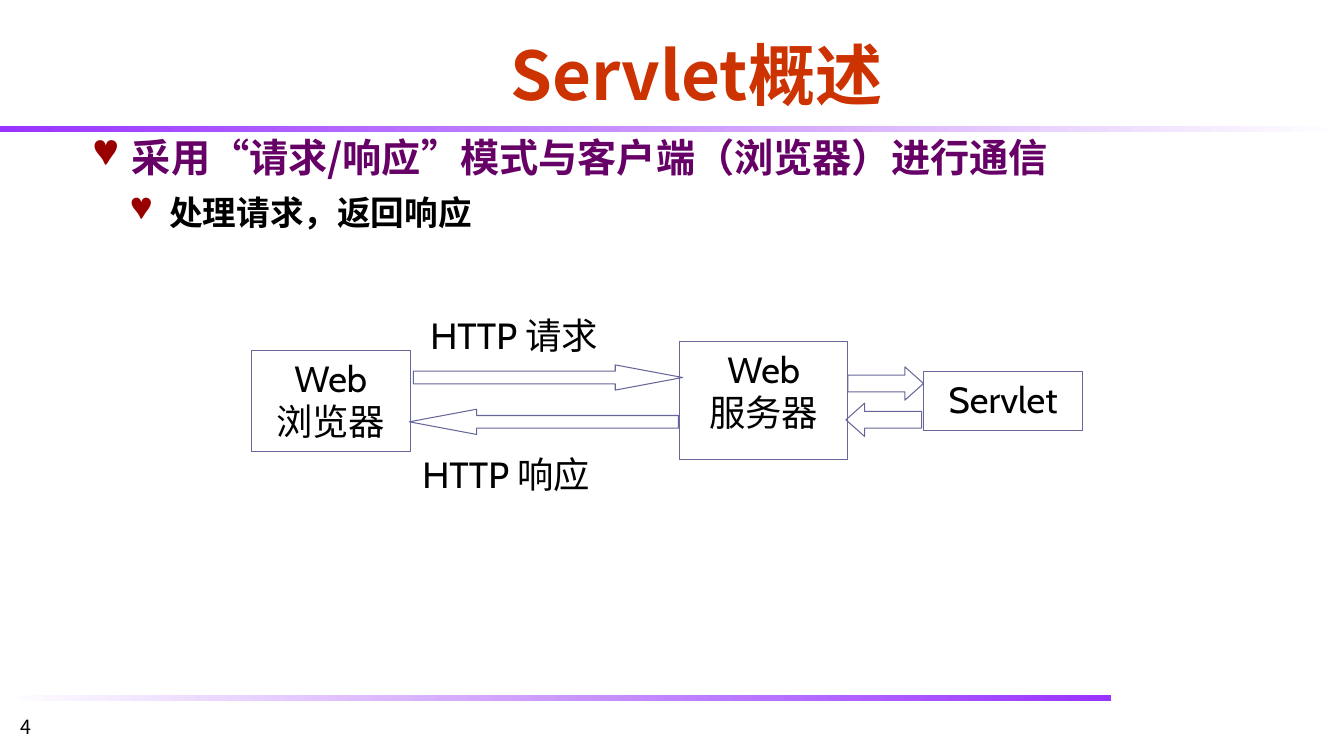
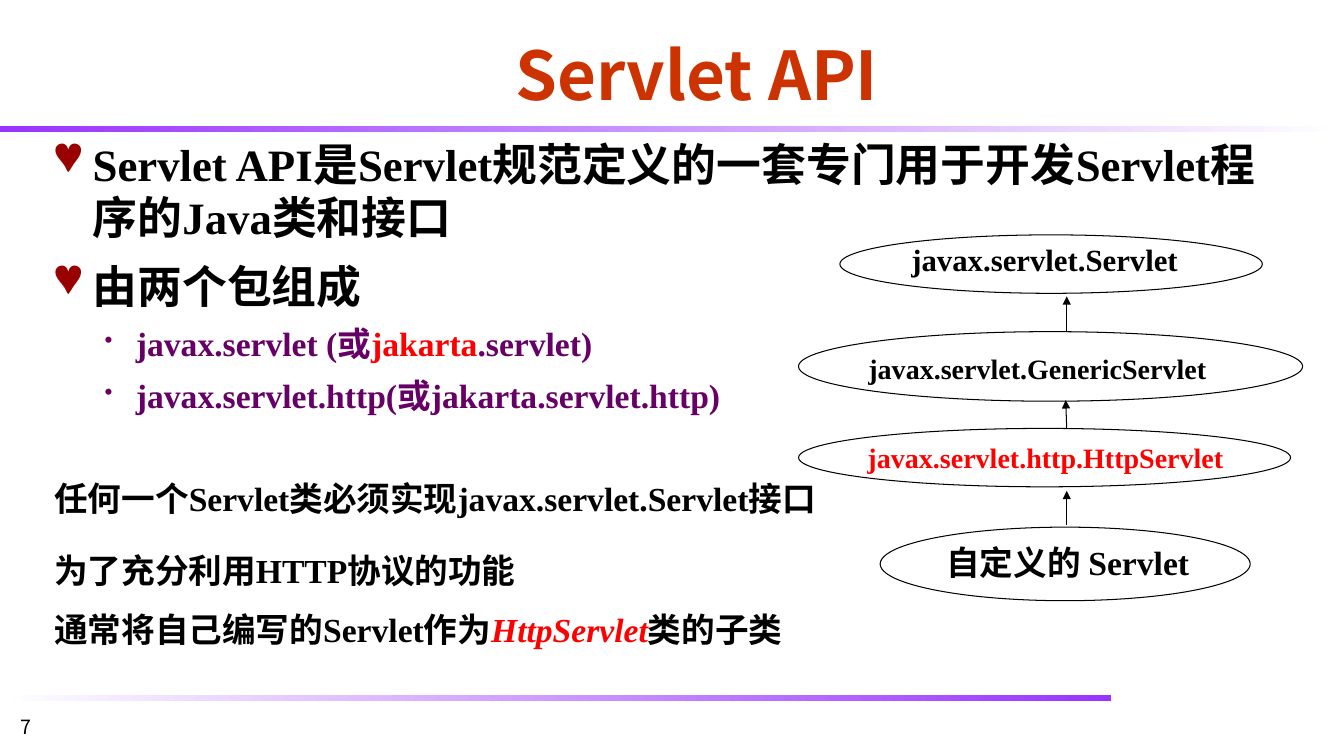
from dataclasses import dataclass
from typing import NamedTuple

from lxml.etree import SubElement
from pptx import Presentation
from pptx.dml.color import RGBColor
from pptx.enum.shapes import MSO_CONNECTOR, MSO_SHAPE
from pptx.enum.text import MSO_ANCHOR, PP_ALIGN
from pptx.oxml.ns import qn
from pptx.util import Inches, Pt

HUES = {
    "title": "CC3300",
    "band": "9933FF",
    "white": "FFFFFF",
    "plum": "660066",
    "heart": "990000",
    "black": "000000",
    "red": "FF0000",
    "slate": "666699",
}
SANS = "Noto Sans CJK SC"
SERIF = "Times New Roman"
CABIN = "Cabin"
PITCH = 1.185
LEAD = 0.35


class Box(NamedTuple):
    left: float
    top: float
    width: float
    height: float


class Bit(NamedTuple):
    text: str
    hue: str = ""
    slant: bool = False


class Mark(NamedTuple):
    char: str
    hue: str
    scale: int
    left: float
    hang: float


@dataclass
class Para:
    bits: list[Bit]
    size: float
    font: str
    hue: str = "black"
    bold: bool = False
    mark: Mark | None = None
    align: PP_ALIGN = PP_ALIGN.LEFT
    before: float = 0
    ratio: float = 1


@dataclass
class Node:
    box: Box
    oval: Box
    text: str
    size: float
    hue: str = "black"
    tail: str = ""


def tint(hue: str) -> RGBColor:
    return RGBColor.from_string(HUES[hue])


def put_mark(para, mark: Mark) -> None:
    props = para._p.get_or_add_pPr()
    props.set("marL", str(Inches(mark.left)))
    props.set("indent", str(-Inches(mark.hang)))
    color = SubElement(props, qn("a:buClr"))
    SubElement(color, qn("a:srgbClr"), val=HUES[mark.hue])
    SubElement(props, qn("a:buSzPct"), val=str(mark.scale * 1000))
    SubElement(props, qn("a:buChar"), char=mark.char)


def fill_text(shape, paras: list[Para], anchor=MSO_ANCHOR.TOP) -> None:
    frame = shape.text_frame
    frame.word_wrap = True
    frame.vertical_anchor = anchor
    frame.margin_top = Inches(0.06)
    frame.margin_bottom = 0
    for index, item in enumerate(paras):
        para = frame.add_paragraph() if index else frame.paragraphs[0]
        if item.mark:
            put_mark(para, item.mark)
        para.alignment = item.align
        para.line_spacing = Pt(item.size * PITCH * item.ratio)
        para.space_before = Pt(item.before if index else 0)
        font = para.font
        font.size, font.name, font.bold = Pt(item.size), item.font, item.bold
        font.color.rgb = tint(item.hue)
        base = para._p.pPr.find(qn("a:defRPr"))
        SubElement(base, qn("a:ea"), typeface=SANS)
        for bit in item.bits:
            run = para.add_run()
            run.text = bit.text
            if bit.hue:
                run.font.color.rgb = tint(bit.hue)
            if bit.slant:
                run.font.italic = True


def add_text(slide, box: Box, paras: list[Para], anchor=MSO_ANCHOR.TOP) -> None:
    shape = slide.shapes.add_textbox(*map(Inches, box))
    fill_text(shape, paras, anchor)


def add_form(slide, kind: MSO_SHAPE, box: Box, hue: str):
    shape = slide.shapes.add_shape(kind, *map(Inches, box))
    shape.shadow.inherit = False
    shape.fill.background()
    shape.line.color.rgb = tint(hue)
    shape.line.width = Pt(0.75)
    return shape


def add_band(slide, box: Box, start: str, end: str) -> None:
    shape = add_form(slide, MSO_SHAPE.RECTANGLE, box, "band")
    shape.line.fill.background()
    shape.fill.gradient()
    shape.fill.gradient_angle = 0
    for stop, hue in zip(shape.fill.gradient_stops, (start, end)):
        stop.color.rgb = tint(hue)


def add_page(deck, title: str, number: str):
    slide = deck.slides.add_slide(deck.slide_layouts[6])
    add_band(slide, Box(0, 1.25, 13.33, 0.06), "band", "white")
    add_band(slide, Box(0, 6.9, 11.02, 0.06), "white", "band")
    head = Para([Bit(title)], 48, SANS, "title", True, align=PP_ALIGN.CENTER)
    add_text(slide, Box(1.22, 0.17, 11.38, 0.96), [head], MSO_ANCHOR.BOTTOM)
    foot = Para([Bit(number)], 14, "Noto Sans CJK JP")
    add_text(slide, Box(0.11, 7.04, 0.78, 0.29), [foot])
    return slide


def add_arrow(slide, start: tuple[float, float], end: tuple[float, float]) -> None:
    line = slide.shapes.add_connector(
        MSO_CONNECTOR.STRAIGHT, *map(Inches, (*start, *end)))
    line.line.color.rgb = tint("black")
    line.line.width = Pt(0.75)
    props = line._element.spPr
    SubElement(props.find(qn("a:ln")), qn("a:tailEnd"), type="triangle")
    SubElement(props, qn("a:effectLst"))


def draw_flow(deck) -> None:
    slide = add_page(deck, "Servlet概述", "4")
    add_text(slide, Box(0.83, 1.27, 11.72, 5.5), [
        Para([Bit("采用“请求/响应”模式与客户端（浏览器）进行通信")], 28, SANS,
             "plum", True, Mark("♥", "heart", 90, 0.38, 0.38)),
        Para([Bit("处理请求，返回响应")], 24, SANS, "black", True,
             Mark("♥", "heart", 90, 0.75, 0.38), before=24 * LEAD),
    ])
    for box, lines in (
        (Box(2.49, 3.48, 1.58, 1), ("Web", "浏览器")),
        (Box(6.74, 3.39, 1.67, 1.17), ("Web", "服务器")),
        (Box(9.16, 3.69, 1.58, 0.58), ("Servlet",)),
    ):
        shape = add_form(slide, MSO_SHAPE.RECTANGLE, box, "slate")
        fill_text(shape, [Para([Bit(line)], 26, CABIN, align=PP_ALIGN.CENTER)
                          for line in lines])
    for box, text in (
        (Box(4.17, 3.05, 3.26, 0.5), "HTTP 请求"),
        (Box(4.09, 4.43, 2.92, 0.58), "HTTP 响应"),
    ):
        add_text(slide, box, [Para([Bit(text)], 26, CABIN)])
    right, left = MSO_SHAPE.RIGHT_ARROW, MSO_SHAPE.LEFT_ARROW
    for kind, box, point in (
        (right, Box(4.1, 3.62, 2.67, 0.25), 2.67),
        (right, Box(8.41, 3.64, 0.75, 0.33), 0.56),
        (left, Box(4.06, 4.06, 2.67, 0.25), 2.67),
        (left, Box(8.39, 4, 0.75, 0.33), 0.56),
    ):
        arrow = add_form(slide, kind, box, "slate")
        arrow.adjustments[0] = 0.5
        arrow.adjustments[1] = point


def draw_tree(deck) -> None:
    slide = add_page(deck, "Servlet API", "7")
    heart = Mark("♥", "heart", 90, 0.38, 0.38)
    dot = Mark("•", "plum", 70, 0.81, 0.31)

    def big(text: str) -> Para:
        return Para([Bit(text)], 32, SERIF, "black", True, heart,
                    before=32 * LEAD)

    def small(bits: list[Bit], mark: Mark | None = None,
              before: float = 24 * LEAD, ratio: float = 1) -> Para:
        return Para(bits, 24, SERIF, "plum" if mark else "black", True, mark,
                    before=before, ratio=ratio)

    add_text(slide, Box(0.44, 1.3, 12.25, 5.5), [
        big("Servlet API是Servlet规范定义的一套专门用于开发Servlet程序的Java类和接口"),
        big("由两个包组成"),
        small([Bit("javax.servlet (或"), Bit("jakarta", "red"),
               Bit(".servlet)")], dot),
        small([Bit("javax.servlet.http(或jakarta.servlet.http)")], dot),
        small([Bit("任何一个Servlet类必须实现javax.servlet.Servlet接口")],
              before=24 * (2 * LEAD + PITCH)),
        small([Bit("为了充分利用HTTP协议的功能")], ratio=1.5),
        small([Bit("通常将自己编写的Servlet作为"),
               Bit("HttpServlet", "red", True), Bit("类的子类")],
              before=0, ratio=1.5),
    ])
    for node in (
        Node(Box(8.52, 2.33, 3.68, 0.49), Box(8.33, 2.33, 4.19, 0.58),
             "javax.servlet.Servlet", 22),
        Node(Box(8.01, 3.43, 4.56, 0.48), Box(7.92, 3.29, 5, 0.69),
             "javax.servlet.GenericServlet", 20),
        Node(Box(8.16, 4.31, 4.42, 0.49), Box(7.92, 4.25, 4.88, 0.58),
             "javax.servlet.http.HttpServlet", 20, "red"),
        Node(Box(8.98, 5.32, 3.22, 0.49), Box(8.73, 5.23, 3.67, 0.73),
             "自定义的 Servlet", 24),
    ):
        add_text(slide, node.box, [
            Para([Bit(node.text)], node.size, SERIF, node.hue, True,
                 align=PP_ALIGN.CENTER)])
        add_form(slide, MSO_SHAPE.OVAL, node.oval, "black")
    for start, end in (
        ((10.58, 3.29), (10.58, 2.94)),
        ((10.58, 4.25), (10.57, 3.97)),
        ((10.58, 5.21), (10.58, 4.87)),
    ):
        add_arrow(slide, start, end)


def main() -> None:
    deck = Presentation()
    deck.slide_width = Inches(13.33)
    deck.slide_height = Inches(7.5)
    draw_flow(deck)
    draw_tree(deck)
    deck.save("out.pptx")


if __name__ == "__main__":
    main()
